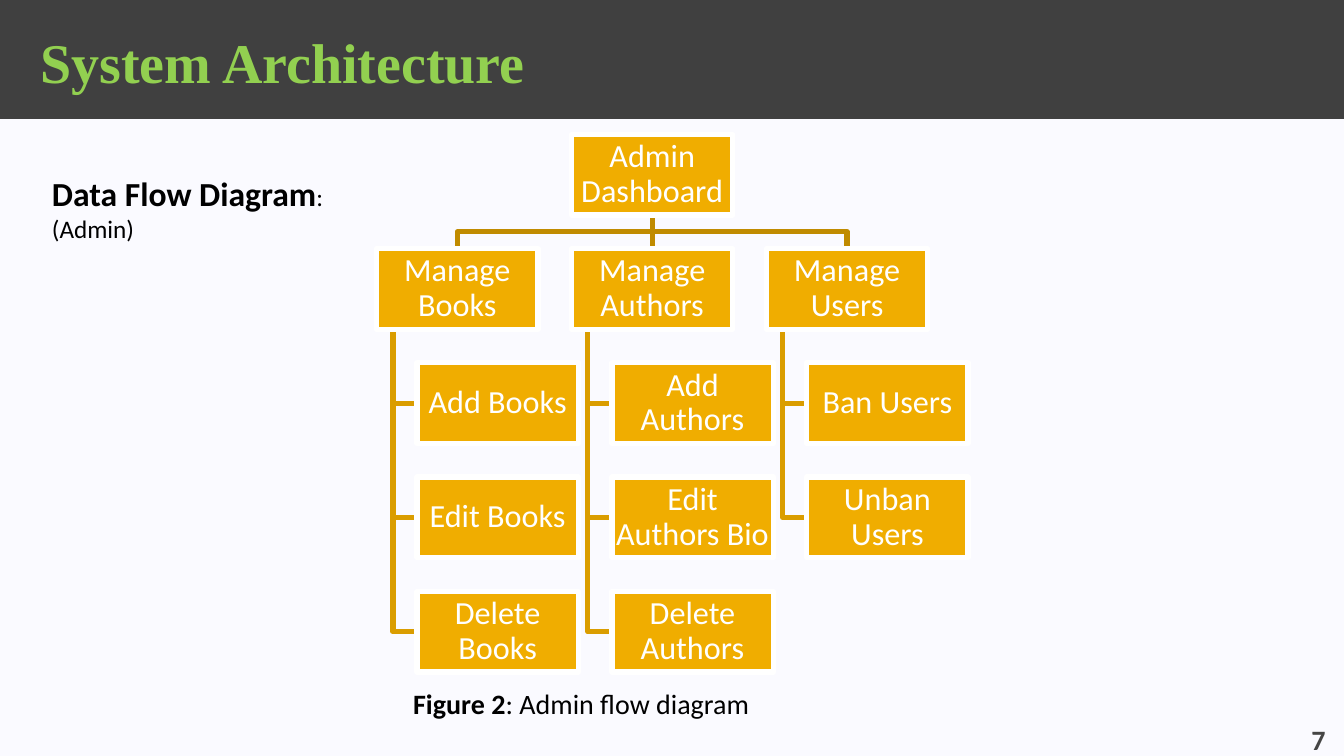
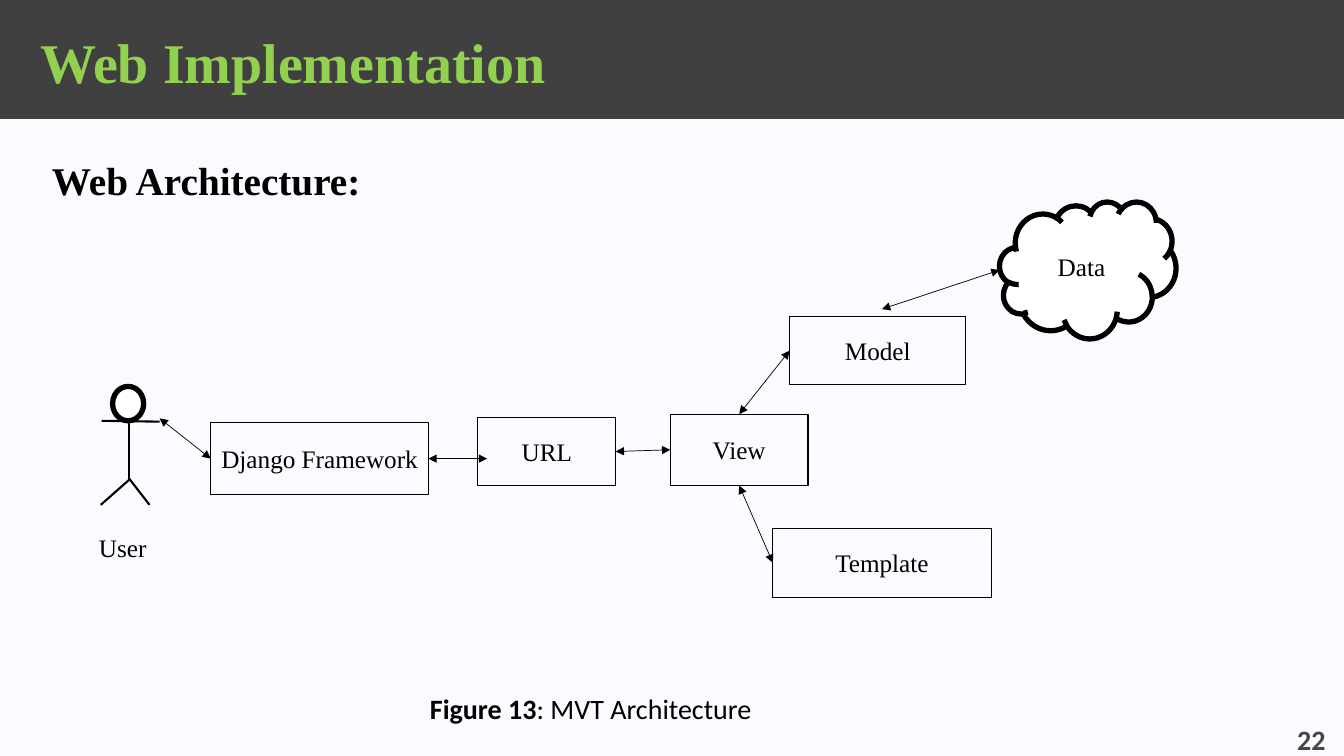
"""Build two slides: an admin flow tree and an MVT architecture diagram."""
from dataclasses import dataclass
from typing import NamedTuple, Union

from lxml import etree
from pptx import Presentation
from pptx.dml.color import RGBColor
from pptx.enum.shapes import MSO_CONNECTOR, MSO_SHAPE
from pptx.enum.text import MSO_ANCHOR, MSO_AUTO_SIZE, PP_ALIGN
from pptx.oxml.ns import qn
from pptx.util import Inches, Pt

RECTANGLE = MSO_SHAPE.RECTANGLE
CIRCLE = MSO_SHAPE.FLOWCHART_CONNECTOR
CLOUD = MSO_SHAPE.CLOUD
STRAIGHT = MSO_CONNECTOR.STRAIGHT
LEFT, CENTER, RIGHT = PP_ALIGN.LEFT, PP_ALIGN.CENTER, PP_ALIGN.RIGHT
TOP, MIDDLE, BOTTOM = MSO_ANCHOR.TOP, MSO_ANCHOR.MIDDLE, MSO_ANCHOR.BOTTOM
NO_AUTOFIT = MSO_AUTO_SIZE.NONE
TOP_SIDE, LEFT_SIDE, BOTTOM_SIDE, RIGHT_SIDE = range(4)

SLIDE_WIDTH, SLIDE_HEIGHT = Inches(13.33), Inches(7.5)
GRID_COLUMNS, GRID_ROWS = 160, 90
TITLE_ONLY = 5

BACKGROUND = RGBColor(0xFA, 0xFA, 0xFF)
CHARCOAL = RGBColor(0x40, 0x40, 0x40)
LIME = RGBColor(0x92, 0xD0, 0x50)
PAGE_GRAY = RGBColor(0x45, 0x45, 0x45)
AMBER = RGBColor(0xF0, 0xAD, 0x00)
TRUNK = RGBColor(0xC0, 0x8B, 0x00)
BRANCH = RGBColor(0xDA, 0x9D, 0x00)
WHITE = RGBColor(0xFF, 0xFF, 0xFF)
BLACK = RGBColor(0, 0, 0)

SANS, SERIF = "Calibri", "Times New Roman"
HEAVY, LIMB, THIN, HAIR = 3.78, 1.5, 0.75, 0.5


class Point(NamedTuple):
    column: float
    row: float


class Area(NamedTuple):
    column: float
    row: float
    columns: float
    rows: float


class Joint(NamedTuple):
    node: str
    side: int


class Run(NamedTuple):
    text: str
    size: float
    bold: bool = False


class Stroke(NamedTuple):
    color: RGBColor
    width: float


class Branch(NamedTuple):
    name: str
    actions: tuple


@dataclass
class Node:
    text: str
    area: Area
    outline: object = RECTANGLE
    fill: Union[RGBColor, None] = None
    stroke: Stroke = Stroke(BLACK, THIN)


@dataclass
class Link:
    start: Union[Point, Joint]
    end: Union[Point, Joint]


BAND = Area(0, 0, GRID_COLUMNS, 14.15)
TITLE = Area(3.6, 1, 152.8, 12.6)
PAGE = Area(146.2, 86.4, 12.8, 3.6)

TREE_LEFT, TREE_TOP = 44.85, 16
BOX_COLUMNS, BOX_ROWS, BOX_GAP = 19.2, 9.6, 4
COLUMN_PITCH, ROW_PITCH = BOX_COLUMNS + BOX_GAP, BOX_ROWS + BOX_GAP
ACTION_INDENT, SPINE_INDENT = 4.8, 1.92

BRANCHES = (
    Branch("Manage Books", ("Add Books", "Edit Books", "Delete Books")),
    Branch("Manage Authors", ("Add Authors", "Edit Authors Bio", "Delete Authors")),
    Branch("Manage Users", ("Ban Users", "Unban Users")),
)

NODES = (
    Node("Django Framework", Area(25.1, 50.3, 25.9, 8.6)),
    Node("View", Area(79.8, 49.3, 16.4, 8.5)),
    Node("URL", Area(56.9, 49.7, 16.4, 8.1)),
    Node("Model", Area(94, 37.7, 21, 8.1)),
    Node("Template", Area(92, 62.9, 26, 8.2)),
    Node("Data", Area(119, 24, 21, 16.3), CLOUD, WHITE, Stroke(BLACK, HEAVY)),
)
LINKS = (
    Link(Point(19, 49.8), Joint("Django Framework", LEFT_SIDE)),
    Link(Joint("Django Framework", RIGHT_SIDE), Point(58, 54.6)),
    Link(Joint("URL", RIGHT_SIDE), Joint("View", LEFT_SIDE)),
    Link(Joint("View", BOTTOM_SIDE), Joint("Template", LEFT_SIDE)),
    Link(Joint("View", TOP_SIDE), Joint("Model", LEFT_SIDE)),
    Link(Point(105, 36.8), Point(119, 32.15)),
)
USER_HEAD = Node("", Area(13.4, 46, 3.7, 4.1), CIRCLE, WHITE, Stroke(BLACK, HEAVY))
USER_LIMBS = (
    Link(Point(15.4, 49.9), Point(15.4, 57.3)),
    Link(Point(12, 60.1), Point(15.4, 57.1)),
    Link(Point(15.4, 57), Point(17.8, 60.1)),
    Link(Point(19, 50.2), Point(12.1, 50.1)),
)


def across(columns: float) -> int:
    return round(SLIDE_WIDTH * columns / GRID_COLUMNS)


def down(rows: float) -> int:
    return round(SLIDE_HEIGHT * rows / GRID_ROWS)


def emu(area: Area) -> tuple:
    return across(area.column), down(area.row), across(area.columns), down(area.rows)


def send_to_back(slide, shape) -> None:
    slide.shapes._spTree.insert(2, shape._element)


def write(frame, runs: tuple, font: str, color: RGBColor, align=LEFT, anchor=TOP,
          insets: tuple = (0.1, 0.05, 0.1, 0.05), wrap: bool = True):
    frame.auto_size = NO_AUTOFIT
    frame.word_wrap = wrap
    frame.vertical_anchor = anchor
    frame.margin_left, frame.margin_top, frame.margin_right, frame.margin_bottom = map(Inches, insets)
    paragraph = frame.paragraphs[0]
    paragraph.alignment = align
    paragraph.font.name = font
    paragraph.font.color.rgb = color
    paragraph.font.size = Pt(runs[0].size)
    paragraph.font.bold = runs[0].bold
    for part in runs:
        run = paragraph.add_run()
        run.text = part.text
        if part.size != runs[0].size:
            run.font.size = Pt(part.size)
        if part.bold != runs[0].bold:
            run.font.bold = part.bold
    return paragraph


def add_label(slide, area: Area, runs: tuple, font: str = SANS, color: RGBColor = BLACK, **layout) -> None:
    write(slide.shapes.add_textbox(*emu(area)).text_frame, runs, font, color, **layout)


def set_stroke(shape, stroke: Stroke) -> None:
    shape.line.color.rgb = stroke.color
    shape.line.width = Pt(stroke.width)


def add_node(slide, node: Node):
    shape = slide.shapes.add_shape(node.outline, *emu(node.area))
    shape.shadow.inherit = False
    if node.fill is None:
        shape.fill.background()
    else:
        shape.fill.solid()
        shape.fill.fore_color.rgb = node.fill
    set_stroke(shape, node.stroke)
    return shape


def add_link(slide, link: Link, nodes: dict, stroke: Stroke, arrows: bool = False):
    ends = [end if isinstance(end, Point) else Point(0, 0) for end in (link.start, link.end)]
    places = [place for end in ends for place in (across(end.column), down(end.row))]
    connector = slide.shapes.add_connector(STRAIGHT, *places)
    for end, join in ((link.start, connector.begin_connect), (link.end, connector.end_connect)):
        if isinstance(end, Joint):
            join(nodes[end.node], end.side)
    set_stroke(connector, stroke)
    if arrows:
        for tag in ("a:headEnd", "a:tailEnd"):
            etree.SubElement(connector.line._get_or_add_ln(), qn(tag), type="triangle")
    etree.SubElement(connector._element.spPr, qn("a:effectLst"))
    return connector


def add_bend(slide, points: tuple, color: RGBColor) -> None:
    places = [(across(point.column), down(point.row)) for point in points]
    builder = slide.shapes.build_freeform(*places[0])
    builder.add_line_segments(places[1:], close=False)
    bend = builder.convert_to_shape()
    bend.shadow.inherit = False
    bend.fill.background()
    set_stroke(bend, Stroke(color, HEAVY))
    send_to_back(slide, bend)


def add_tree_box(slide, text: str, corner: Point):
    area = Area(*corner, BOX_COLUMNS, BOX_ROWS)
    box = add_node(slide, Node(text, area, fill=AMBER, stroke=Stroke(WHITE, HEAVY)))
    paragraph = write(box.text_frame, (Run(text, 23),), SANS, WHITE, CENTER, MIDDLE, (0.02,) * 4)
    paragraph.line_spacing = 0.9
    return box


def add_base_slide(prs, title: str, page: str):
    slide = prs.slides.add_slide(prs.slide_layouts[TITLE_ONLY])
    heading = slide.shapes.title
    heading.left, heading.top, heading.width, heading.height = emu(TITLE)
    write(heading.text_frame, (Run(title, 40, True),), SERIF, LIME,
          anchor=MIDDLE, insets=(0.1, 0.05, 0.05, 0.05))
    band = add_node(slide, Node("", BAND, fill=CHARCOAL))
    band.line.fill.background()
    send_to_back(slide, band)
    add_label(slide, PAGE, (Run(page, 20, True),), color=PAGE_GRAY,
              align=RIGHT, anchor=BOTTOM, insets=(0.1, 0.05, 0.1, 0))
    return slide


def add_caption(slide, area: Area, number: str, text: str) -> None:
    add_label(slide, area, (Run(number, 20, True), Run(text, 20)))


def build_admin_flow(prs) -> None:
    slide = add_base_slide(prs, "System Architecture", "7")
    root_corner = Point(TREE_LEFT + COLUMN_PITCH, TREE_TOP)
    root = add_tree_box(slide, "Admin Dashboard", root_corner)
    root_center = root_corner.column + BOX_COLUMNS / 2
    root_bottom = TREE_TOP + BOX_ROWS
    branch_row = TREE_TOP + ROW_PITCH
    for index, branch in enumerate(BRANCHES):
        column = TREE_LEFT + index * COLUMN_PITCH
        manager = add_tree_box(slide, branch.name, Point(column, branch_row))
        if column == root_corner.column:
            boxes = {"root": root, "branch": manager}
            trunk = Link(Joint("root", BOTTOM_SIDE), Joint("branch", TOP_SIDE))
            send_to_back(slide, add_link(slide, trunk, boxes, Stroke(TRUNK, HEAVY)))
        else:
            center = column + BOX_COLUMNS / 2
            turn = root_bottom + BOX_GAP / 2
            add_bend(slide, (Point(root_center, root_bottom), Point(root_center, turn),
                             Point(center, turn), Point(center, branch_row)), TRUNK)
        spine = column + SPINE_INDENT
        for level, action in enumerate(branch.actions, start=1):
            corner = Point(column + ACTION_INDENT, branch_row + level * ROW_PITCH)
            add_tree_box(slide, action, corner)
            middle = corner.row + BOX_ROWS / 2
            add_bend(slide, (Point(spine, branch_row + BOX_ROWS), Point(spine, middle),
                             Point(corner.column, middle)), BRANCH)
    add_label(slide, Area(5, 20, 40, 9.7), (Run("Data Flow Diagram", 24, True), Run(": (Admin)", 18)))
    add_caption(slide, Area(48, 81.1, 64, 5.3), "Figure 2", ": Admin flow diagram")


def build_web_architecture(prs) -> None:
    slide = add_base_slide(prs, "Web Implementation", "22")
    for limb in USER_LIMBS:
        add_link(slide, limb, {}, Stroke(BLACK, LIMB))
    add_node(slide, USER_HEAD)
    nodes = {}
    for node in NODES:
        nodes[node.text] = add_node(slide, node)
        write(nodes[node.text].text_frame, (Run(node.text, 18),), SERIF, BLACK, CENTER, MIDDLE, wrap=False)
    for link in LINKS:
        add_link(slide, link, nodes, Stroke(BLACK, HAIR), arrows=True)
    add_label(slide, Area(10.6, 62.8, 9.5, 4.8), (Run("User", 18),), SERIF)
    add_label(slide, Area(5, 18, 45, 6.8), (Run("Web Architecture:", 28, True),), SERIF)
    add_caption(slide, Area(50, 81.7, 71, 5.3), "Figure 13", ": MVT Architecture")


def main() -> None:
    prs = Presentation()
    prs.slide_width, prs.slide_height = SLIDE_WIDTH, SLIDE_HEIGHT
    backdrop = prs.slide_master.background.fill
    backdrop.solid()
    backdrop.fore_color.rgb = BACKGROUND
    build_admin_flow(prs)
    build_web_architecture(prs)
    prs.save("out.pptx")


if __name__ == "__main__":
    main()
